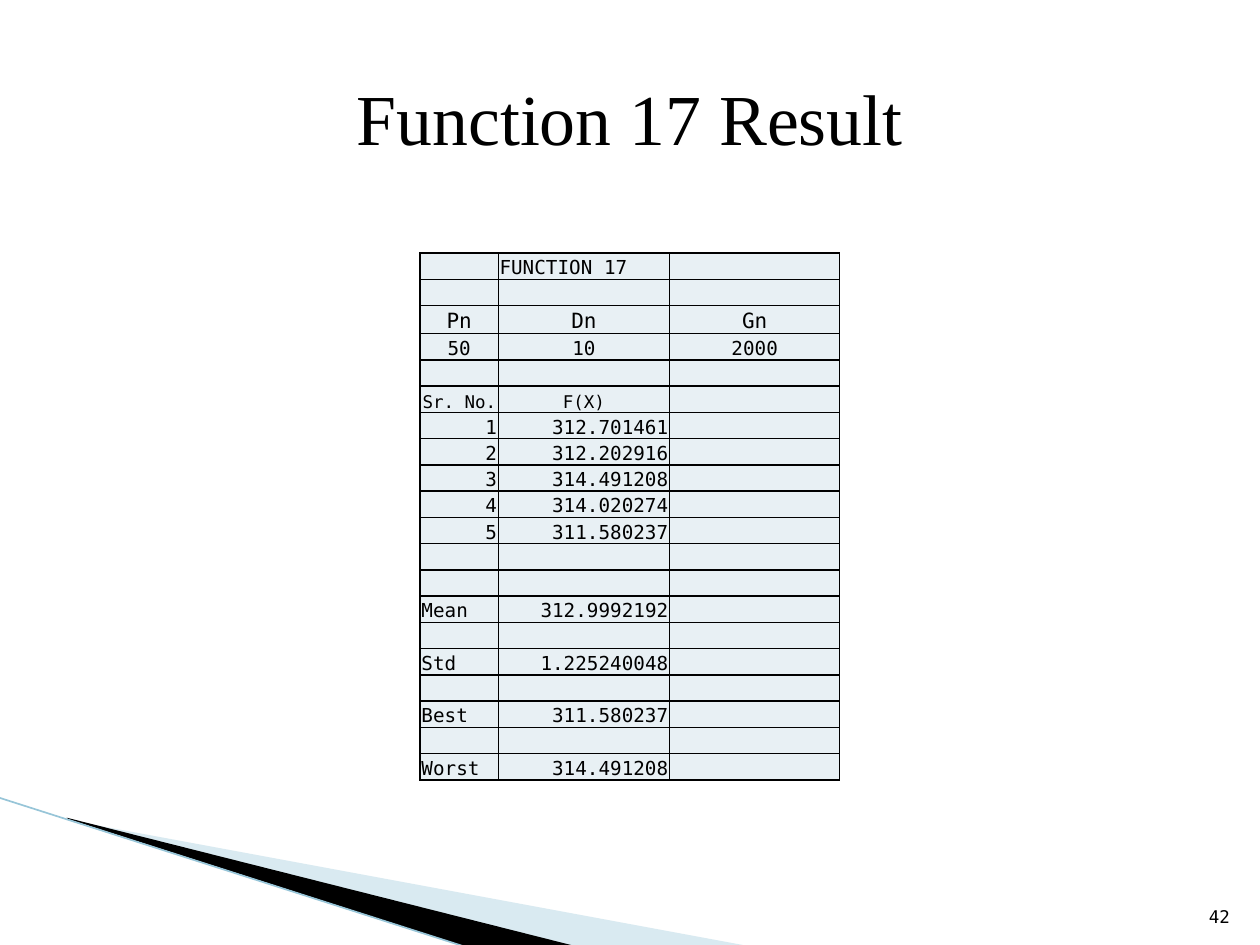
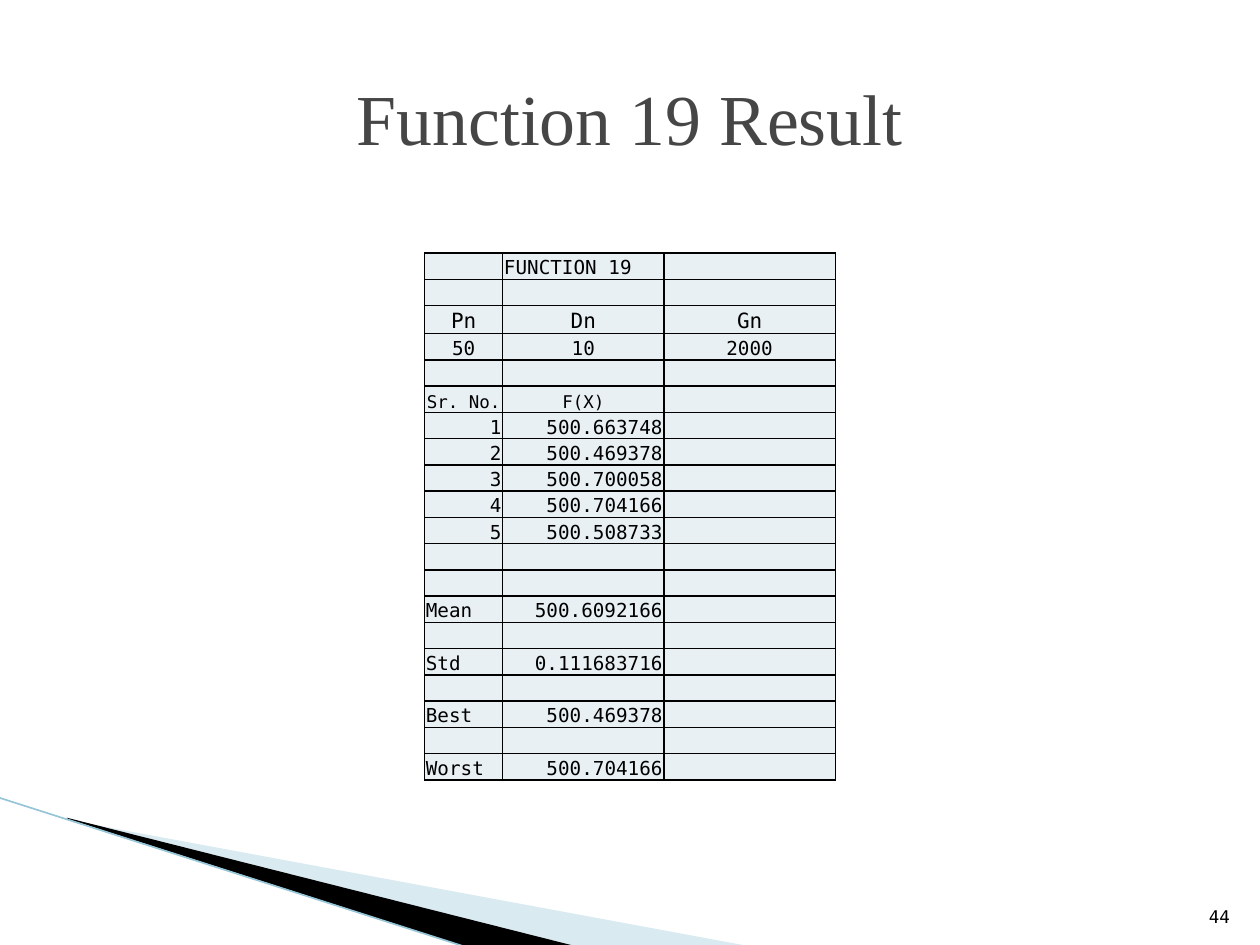
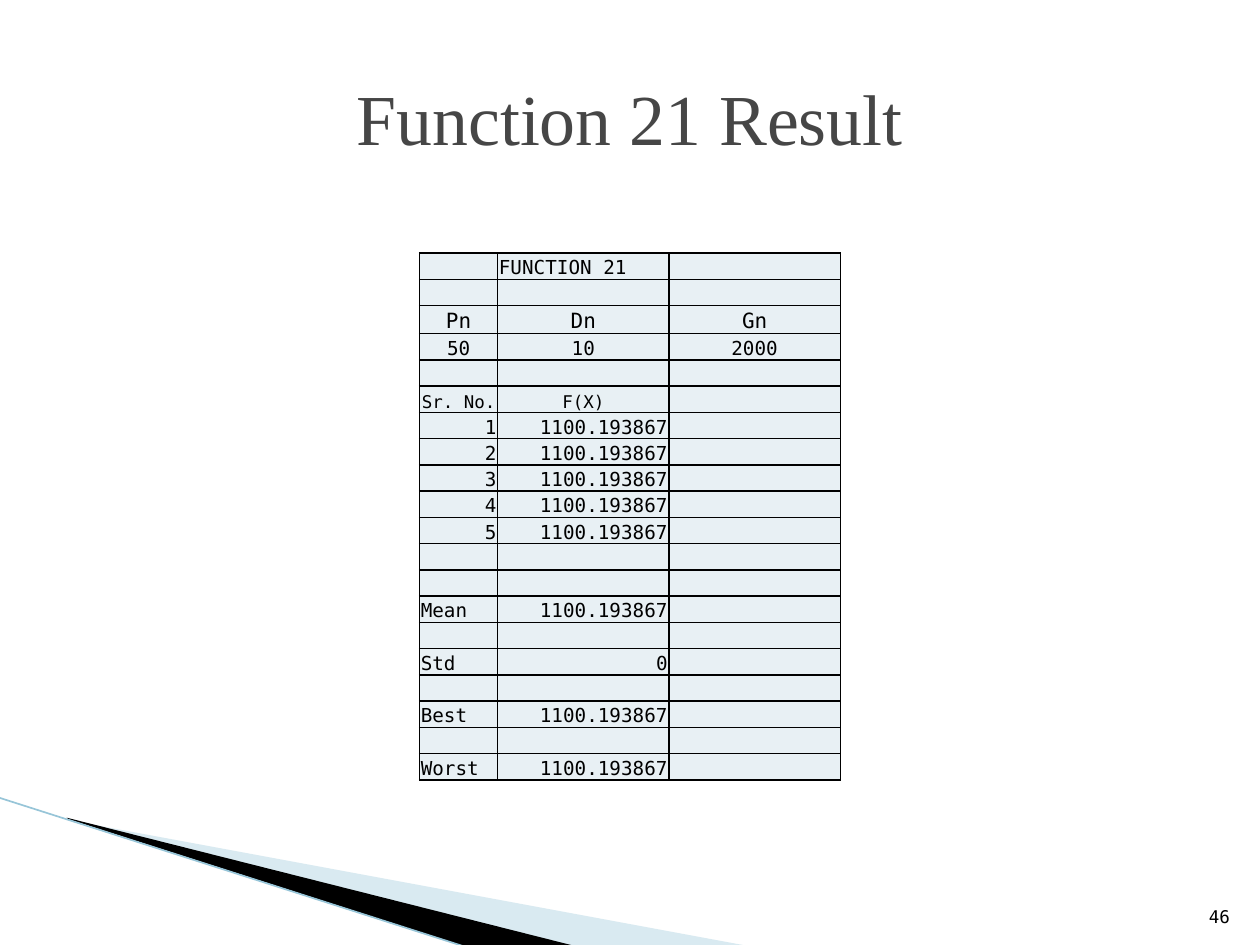
import lxml.etree
import pptx
import pptx.dml.color
import pptx.enum.shapes
import pptx.enum.text
import pptx.oxml.ns
import pptx.util

Pt = pptx.util.Pt
ALIGN = pptx.enum.text.PP_ALIGN
ANCHOR = pptx.enum.text.MSO_ANCHOR
qn = pptx.oxml.ns.qn

COLORS = {"black": "000000", "grey": "464646", "cell": "E8F0F4",
          "pale": "A0CBDC", "edge": "97C5D8"}
TITLE_FONT, MONO = "Times New Roman", "DejaVu Sans Mono"
SLIDE_W, SLIDE_H = 720, 540
TABLE_TOP = 144.72

# Decoration in the lower left corner, in points
PALE_WEDGE = [(39.6, 468.72), (428.4, 540.72), (328.32, 540.72), (39.6, 468)]
BLACK_WEDGE = [(38.16, 467.28), (329.04, 540.72), (267.84, 541.44), (38.88, 468)]
EDGE = [(-0.72, 455.76), (267.12, 541.44)]

RESULTS = [
    {"number": 17, "page": 42, "title_color": "black", "widths": (44.64, 97.92, 97.2),
     "runs": ["312.701461", "312.202916", "314.491208", "314.020274", "311.580237"],
     "stats": ["312.9992192", "1.225240048", "311.580237", "314.491208"]},
    {"number": 19, "page": 44, "title_color": "grey", "widths": (44.64, 92.16, 97.92),
     "runs": ["500.663748", "500.469378", "500.700058", "500.704166", "500.508733"],
     "stats": ["500.6092166", "0.111683716", "500.469378", "500.704166"]},
    {"number": 21, "page": 46, "title_color": "grey", "widths": (44.64, 97.92, 97.92),
     "runs": ["1100.193867"] * 5,
     "stats": ["1100.193867", "0", "1100.193867", "1100.193867"]},
]
STAT_NAMES = ["Mean", "Std", "Best", "Worst"]


def rgb(name):
    """Return a named colour."""
    return pptx.dml.color.RGBColor.from_string(COLORS[name])


def set_text(tf, text, font, size, color, align, anchor):
    """Write one formatted paragraph into a text frame."""
    tf.word_wrap = True
    tf.vertical_anchor = anchor
    p = tf.paragraphs[0]
    p.text = text
    p.alignment = align
    p.font.name, p.font.size = font, Pt(size)
    p.font.color.rgb = rgb(color)


def add_wedge(s, points, color, opacity=100):
    """Draw a filled outline without a line."""
    start, *rest = [(Pt(x), Pt(y)) for x, y in points]
    builder = s.shapes.build_freeform(*start)
    builder.add_line_segments(rest)
    sp = builder.convert_to_shape()
    sp.shadow.inherit = False
    sp.fill.solid()
    sp.fill.fore_color.rgb = rgb(color)
    sp.line.fill.background()
    if opacity < 100:
        clr = sp.element.spPr.find(".//" + qn("a:srgbClr"))
        lxml.etree.SubElement(clr, qn("a:alpha"), val=str(opacity * 1000))
    return sp


def add_edge(s):
    """Draw the thin line along the wedges."""
    (x1, y1), (x2, y2) = EDGE
    line = s.shapes.add_connector(pptx.enum.shapes.MSO_CONNECTOR.STRAIGHT,
                                  Pt(x1), Pt(y1), Pt(x2), Pt(y2))
    line.line.color.rgb = rgb("edge")
    line.line.width = Pt(0.95)
    lxml.etree.SubElement(line.element.spPr, qn("a:effectLst"))
    return line


def decorate_layout(layout, s):
    """Draw the decoration on a slide and move it to the layout."""
    parts = [add_wedge(s, PALE_WEDGE, "pale", 40),
             add_wedge(s, BLACK_WEDGE, "black"), add_edge(s)]
    for shape_id, part in enumerate(parts, 101):
        part.element.find(".//" + qn("p:cNvPr")).set("id", str(shape_id))
        layout.shapes.element.append(part.element)


def table_rows(result):
    """Return rows of (three texts, alignments, font size)."""
    left, center, right = ALIGN.LEFT, ALIGN.CENTER, ALIGN.RIGHT
    blank = (("", "", ""), (left,) * 3, 11)
    rows = [(("", f"FUNCTION {result['number']}", ""), (left,) * 3, 11), blank,
            (("Pn", "Dn", "Gn"), (center,) * 3, 12),
            (("50", "10", "2000"), (center,) * 3, 11), blank,
            (("Sr. No.", "F(X)", ""), (center,) * 3, 10)]
    for i, value in enumerate(result["runs"], 1):
        rows.append(((str(i), value, ""), (right,) * 3, 11))
    rows.append(blank)
    for name, value in zip(STAT_NAMES, result["stats"]):
        rows += [blank, ((name, value, ""), (left, right, left), 11)]
    return rows


def format_cell(cell, text, align, size):
    """Fill, border and label one cell."""
    cell.margin_left = cell.margin_right = cell.margin_top = Pt(0.72)
    cell.margin_bottom = 0
    set_text(cell.text_frame, text, MONO, size, "black", align, ANCHOR.BOTTOM)
    cell.vertical_anchor = ANCHOR.BOTTOM
    if not text:  # keeps an empty row from growing
        lxml.etree.SubElement(cell.text_frame.paragraphs[0]._p,
                              qn("a:endParaRPr"), sz=str(size * 100))
    tcPr = cell._tc.get_or_add_tcPr()
    for side in ("lnL", "lnR", "lnT", "lnB"):
        ln = lxml.etree.SubElement(tcPr, qn("a:" + side), w=str(Pt(1)))
        fill = lxml.etree.SubElement(ln, qn("a:solidFill"))
        lxml.etree.SubElement(fill, qn("a:srgbClr"), val=COLORS["black"])
    cell.fill.solid()
    cell.fill.fore_color.rgb = rgb("cell")
    tcPr.append(tcPr.find(qn("a:solidFill")))  # the fill follows the borders


def add_result_table(s, result):
    """Add the centred table of runs and statistics."""
    rows, widths = table_rows(result), result["widths"]
    heights = [16 if size == 12 else 15 for _, _, size in rows]
    table = s.shapes.add_table(
        len(rows), len(widths), Pt((SLIDE_W - sum(widths)) / 2), Pt(TABLE_TOP),
        Pt(sum(widths)), Pt(sum(heights))).table
    table.first_row = table.horz_banding = False
    for column, width in zip(table.columns, widths):
        column.width = Pt(width)
    for r, (texts, aligns, size) in enumerate(rows):
        table.rows[r].height = Pt(heights[r])
        for c, (text, align) in enumerate(zip(texts, aligns)):
            format_cell(table.cell(r, c), text, align, size)


def fill_slide(s, result):
    """Add page number, title and table to a slide."""
    box = s.shapes.add_textbox(Pt(681.12), Pt(504.72), Pt(28.8), Pt(28.8))
    set_text(box.text_frame, str(result["page"]), MONO, 10, "black",
             ALIGN.RIGHT, ANCHOR.BOTTOM)
    title = s.shapes.title
    title.left, title.top, title.width, title.height = Pt(36), Pt(21.6), Pt(648), Pt(90)
    set_text(title.text_frame, f"Function {result['number']} Result", TITLE_FONT, 41,
             result["title_color"], ALIGN.CENTER, ANCHOR.MIDDLE)
    add_result_table(s, result)


prs = pptx.Presentation()
prs.slide_width, prs.slide_height = Pt(SLIDE_W), Pt(SLIDE_H)
layout = prs.slide_layouts.get_by_name("Title Only")
slides = [prs.slides.add_slide(layout) for _ in RESULTS]
decorate_layout(layout, slides[0])
for s, result in zip(slides, RESULTS):
    fill_slide(s, result)
prs.save("out.pptx")
